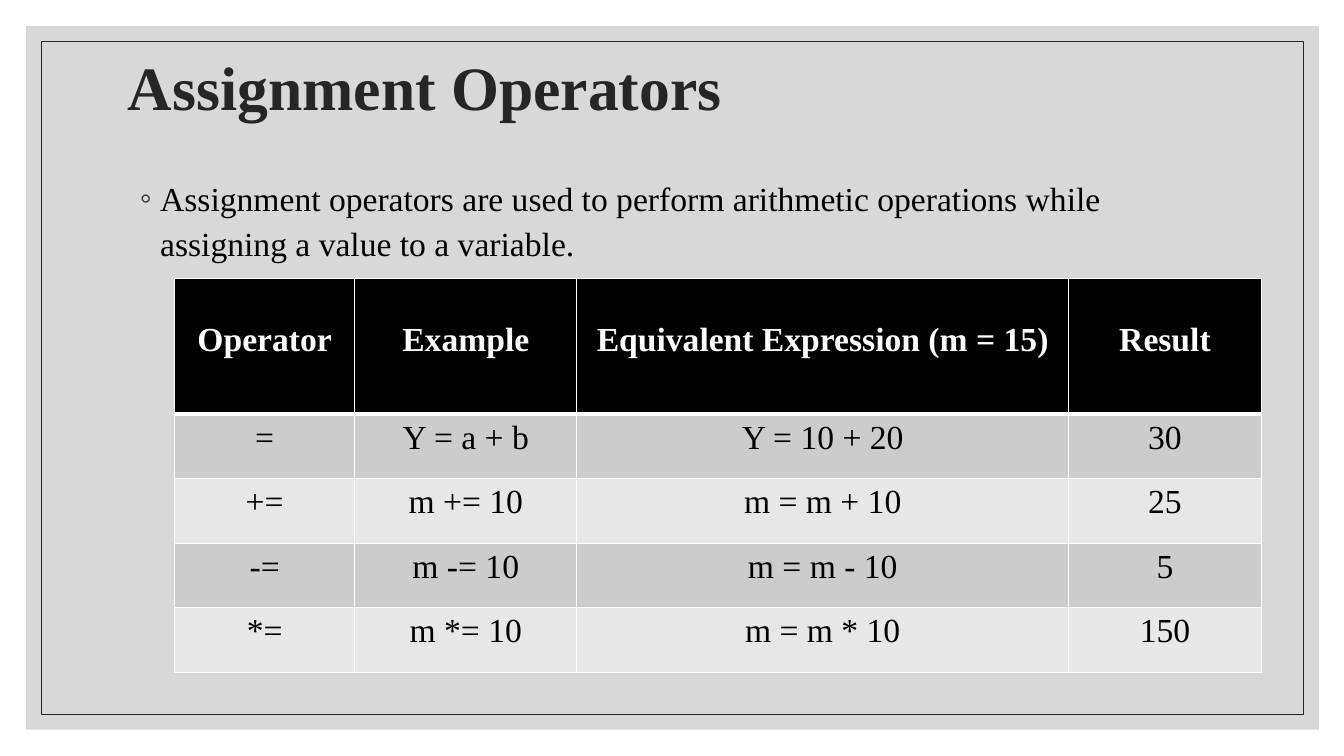
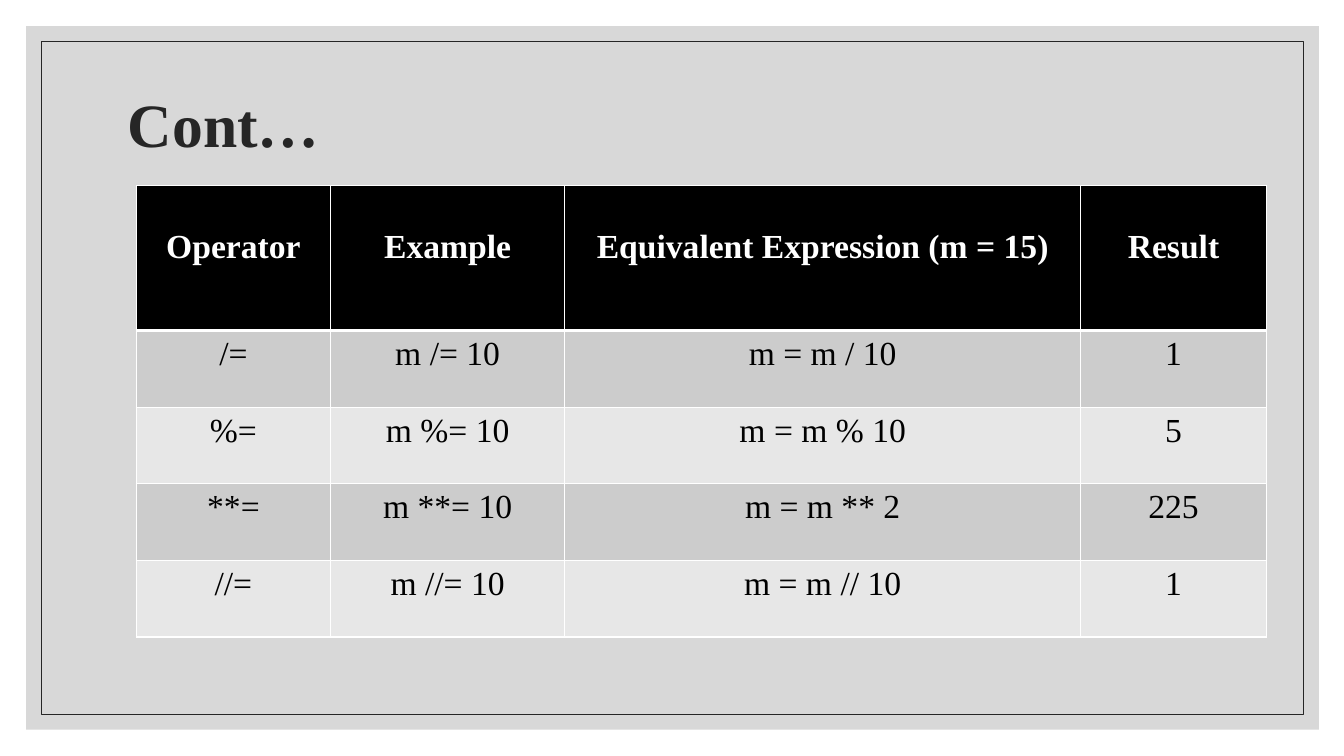
from pptx import Presentation
from pptx.dml.color import RGBColor
from pptx.enum.shapes import MSO_SHAPE
from pptx.enum.text import MSO_ANCHOR, PP_ALIGN
from pptx.oxml.ns import qn
from pptx.util import Inches, Pt
from lxml import etree

RECT = MSO_SHAPE.RECTANGLE
MIDDLE, TOP = MSO_ANCHOR.MIDDLE, MSO_ANCHOR.TOP
CENTER = PP_ALIGN.CENTER

FONT = "Times New Roman"
BLACK = RGBColor(0x00, 0x00, 0x00)
WHITE = RGBColor(0xFF, 0xFF, 0xFF)
INK = RGBColor(0x26, 0x26, 0x26)
PANEL = RGBColor(0xBF, 0xBF, 0xBF)
BANDS = (RGBColor(0xCC, 0xCC, 0xCC), RGBColor(0xE7, 0xE7, 0xE7))

TITLE_SIZE, TEXT_SIZE = 44, 24
HEADER = ("Operator", "Example", "Equivalent Expression (m = 15)", "Result")
HEADER_MARGIN = 0.43
RULE, HEADER_RULE = 1, 3

FIRST_ROWS = (
    ("=", "Y = a + b", "Y = 10 + 20", "30"),
    ("+=", "m += 10", "m = m + 10", "25"),
    ("-=", "m -= 10", "m = m - 10", "5"),
    ("*=", "m *= 10", "m = m * 10", "150"),
)
MORE_ROWS = (
    ("/=", "m /= 10", "m = m / 10", "1"),
    ("%=", "m %= 10", "m = m % 10", "5"),
    ("**=", "m **= 10", "m = m ** 2", "225"),
    ("//=", "m //= 10", "m = m // 10", "1"),
)


def format_runs(p, size, color, bold=False):
    """Apply the deck font to every run of a paragraph."""
    for r in p.runs:
        r.font.name = FONT
        r.font.size = Pt(size)
        r.font.color.rgb = color
        r.font.bold = bold


def add_rect(s, left, top, width, height):
    """Add a rectangle without a shadow."""
    sp = s.shapes.add_shape(RECT, Inches(left), Inches(top), Inches(width), Inches(height))
    sp.shadow.inherit = False
    return sp


def add_frame(s):
    """Draw the translucent panel and the thin frame inside it."""
    panel = add_rect(s, 0.26, 0.26, 12.82, 6.98)
    panel.fill.solid()
    panel.fill.fore_color.rgb = PANEL
    panel.line.fill.background()
    color = panel.fill._xPr.find(qn("a:solidFill"))[0]
    etree.SubElement(color, qn("a:alpha"), val="60000")
    frame = add_rect(s, 0.41, 0.41, 12.52, 6.68)
    frame.fill.background()
    frame.line.color.rgb = INK
    frame.line.width = Pt(0.5)


def add_text(s, text, left, top, width, height, anchor=TOP):
    """Add a wrapping text box and return its paragraph."""
    tf = s.shapes.add_textbox(Inches(left), Inches(top), Inches(width), Inches(height)).text_frame
    tf.word_wrap = True
    tf.vertical_anchor = anchor
    p = tf.paragraphs[0]
    p.text = text
    return p


def add_title(s, text, top, height):
    """Add the bold slide title."""
    p = add_text(s, text, 1.17, top, 11, height, MIDDLE)
    p.line_spacing = 0.9
    format_runs(p, TITLE_SIZE, INK, bold=True)


def add_bullet(s, text, left, top, width, height):
    """Add a paragraph with a hanging round bullet."""
    p = add_text(s, text, left, top, width, height)
    p.line_spacing = 1.1
    p.space_before = Pt(9)
    format_runs(p, TEXT_SIZE, BLACK)
    pPr = p._p.get_or_add_pPr()
    pPr.set("marL", str(Inches(0.2)))
    pPr.set("indent", str(-Inches(0.2)))
    color = etree.SubElement(pPr, qn("a:buClr"))
    etree.SubElement(color, qn("a:srgbClr"), val=str(INK))
    etree.SubElement(pPr, qn("a:buFont"), typeface=FONT)
    etree.SubElement(pPr, qn("a:buChar"), char="◦")


def set_borders(cell, top, bottom):
    """Give a cell white borders; top and bottom widths are in points."""
    tcPr = cell._tc.get_or_add_tcPr()
    for side, width in (("L", RULE), ("R", RULE), ("T", top), ("B", bottom)):
        ln = etree.SubElement(tcPr, qn("a:ln" + side), w=str(Pt(width)))
        fill = etree.SubElement(ln, qn("a:solidFill"))
        etree.SubElement(fill, qn("a:srgbClr"), val=str(WHITE))


def fill_cell(cell, text, row):
    """Write and style one cell by its row: header or alternating band."""
    is_header = row == 0
    set_borders(cell, HEADER_RULE if row == 1 else RULE, HEADER_RULE if is_header else RULE)
    cell.fill.solid()
    cell.fill.fore_color.rgb = BLACK if is_header else BANDS[(row - 1) % 2]
    if is_header:
        cell.margin_top = Inches(HEADER_MARGIN)
    p = cell.text_frame.paragraphs[0]
    p.text = text
    p.alignment = CENTER
    format_runs(p, TEXT_SIZE, WHITE if is_header else BLACK, bold=is_header)


def add_operator_table(s, rows, left, top, widths, header_height, row_height):
    """Add the operator table below its shared header row."""
    rows = (HEADER, *rows)
    heights = [header_height] + [row_height] * (len(rows) - 1)
    table = s.shapes.add_table(
        len(rows), len(HEADER), Inches(left), Inches(top),
        Inches(sum(widths)), Inches(sum(heights))).table
    table.horz_banding = False
    for column, width in zip(table.columns, widths):
        column.width = Inches(width)
    for i, (height, texts) in enumerate(zip(heights, rows)):
        table.rows[i].height = Inches(height)
        for j, text in enumerate(texts):
            fill_cell(table.cell(i, j), text, i)


def add_slide(prs):
    """Add a blank slide with the shared frame."""
    s = prs.slides.add_slide(prs.slide_layouts[6])
    add_frame(s)
    return s


def main():
    """Build both slides and save the deck."""
    prs = Presentation()
    prs.slide_width, prs.slide_height = Inches(13.33), Inches(7.5)

    s = add_slide(prs)
    add_title(s, "Assignment Operators", 0.41, 0.98)
    add_bullet(s, "Assignment operators are used to perform arithmetic operations "
               "while assigning a value to a variable.", 1.29, 1.68, 11, 4.93)
    add_operator_table(s, FIRST_ROWS, 1.73, 2.76, (1.79, 2.2, 4.88, 1.91), 1.35, 0.64)

    s = add_slide(prs)
    add_title(s, "Cont…", 0.7, 1.13)
    add_operator_table(s, MORE_ROWS, 1.35, 1.84, (1.93, 2.32, 5.12, 1.84), 1.44, 0.76)

    prs.save("out.pptx")


if __name__ == "__main__":
    main()
